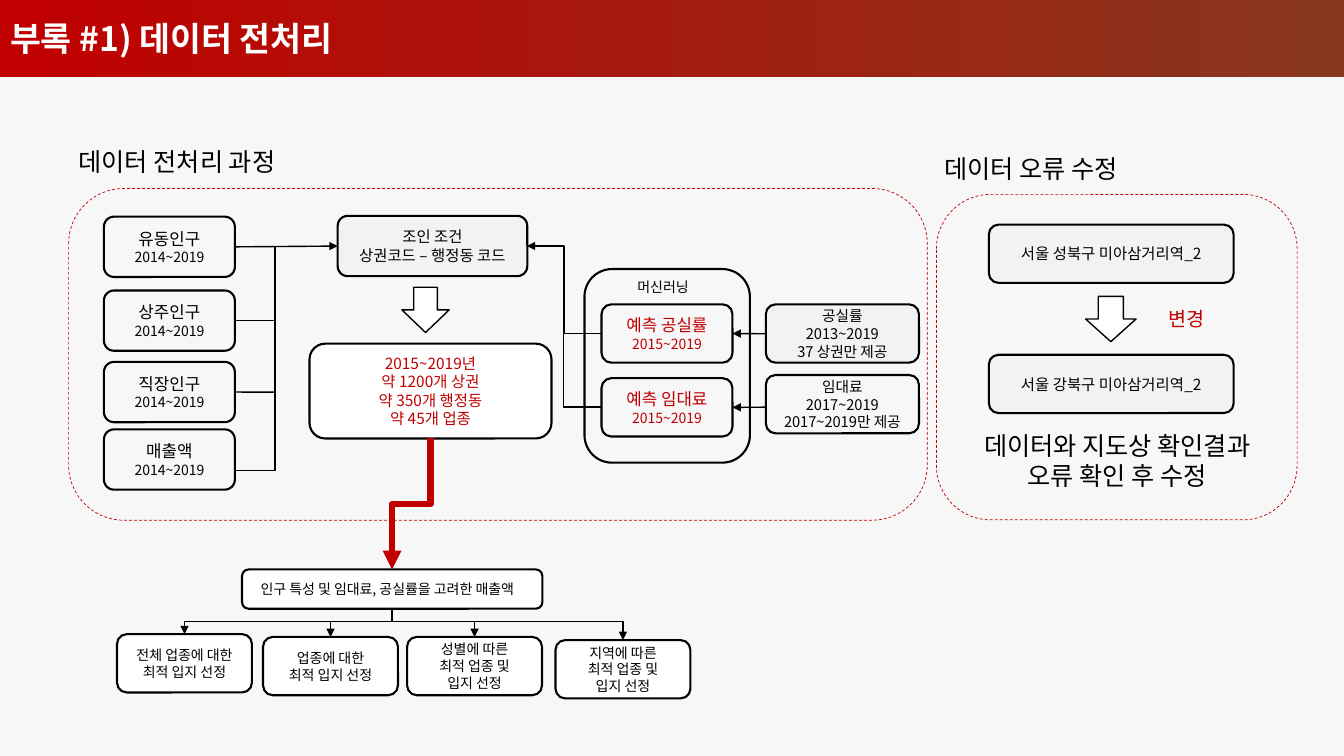
from lxml import etree
from pptx import Presentation
from pptx.dml.color import RGBColor
from pptx.enum.dml import MSO_LINE
from pptx.enum.shapes import MSO_CONNECTOR, MSO_SHAPE
from pptx.enum.text import MSO_ANCHOR, MSO_AUTO_SIZE, PP_ALIGN
from pptx.oxml.ns import qn
from pptx.util import Cm, Pt

ROUND, DOWN = MSO_SHAPE.ROUNDED_RECTANGLE, MSO_SHAPE.DOWN_ARROW
STRAIGHT, ELBOW = MSO_CONNECTOR.STRAIGHT, MSO_CONNECTOR.ELBOW
LEFT, CENTER = PP_ALIGN.LEFT, PP_ALIGN.CENTER
MIDDLE, DASH, NO_FIT = MSO_ANCHOR.MIDDLE, MSO_LINE.DASH, MSO_AUTO_SIZE.NONE
TOP_SIDE, LEFT_SIDE, RIGHT_SIDE = 0, 1, 3


class Theme:
    font = "Noto Sans CJK KR"
    back = RGBColor(0xF7, 0xF7, 0xF7)
    ink = RGBColor(0, 0, 0)
    white = RGBColor(255, 255, 255)
    grey = RGBColor(0xF2, 0xF2, 0xF2)
    red = RGBColor(0xC0, 0, 0)
    brown = RGBColor(0x88, 0x37, 0x1D)
    title, heading, change, item = 24, 18, 14, 12
    body, source, small = 11, 10.5, 10


def write(sp, lines, sizes, color, align=CENTER, bold=False):
    """Fill a shape with lines; the last size serves all remaining lines."""
    tf = sp.text_frame
    tf.text = "\n".join(lines)
    for i, p in enumerate(tf.paragraphs):
        p.alignment = align
        for r in p.runs:
            r.font.name = Theme.font
            r.font.size = Pt(sizes[min(i, len(sizes) - 1)])
            r.font.color.rgb = color
            r.font.bold = bold
            ea = etree.SubElement(r.font._element, qn("a:ea"))
            ea.set("typeface", Theme.font)
    return tf


def link(x1, y1, x2, y2, arrow=True, kind=STRAIGHT, bend=None, down=False,
         start=None, end=None, color=Theme.ink, width=1):
    """Draw a connector; down makes an elbow leave downwards and end to the left."""
    if down:
        cx, cy = (x1 + x2) / 2, (y1 + y2) / 2
        dx, dy = (x1 - x2) / 2, (y2 - y1) / 2
        x1, y1, x2, y2 = cx - dy, cy - dx, cx + dy, cy + dx
    c = shapes.add_connector(kind, Cm(x1), Cm(y1), Cm(x2), Cm(y2))
    spPr = c._element.spPr
    if down:
        spPr.find(qn("a:xfrm")).set("rot", "5400000")
    if bend is not None:
        guide = etree.SubElement(spPr.find(".//" + qn("a:avLst")), qn("a:gd"))
        guide.set("name", "adj1")
        guide.set("fmla", f"val {round(bend * 100000)}")
    if start:
        c.begin_connect(start, RIGHT_SIDE)
    if end:
        c.end_connect(*end)
    c.line.color.rgb = color
    c.line.width = Pt(width)
    if arrow:
        etree.SubElement(c.line._ln, qn("a:tailEnd")).set("type", "triangle")
    etree.SubElement(spPr, qn("a:effectLst"))


prs = Presentation()
prs.slide_width, prs.slide_height = Cm(33.87), Cm(19.05)
slide = prs.slides.add_slide(prs.slide_layouts[5])
slide.background.fill.solid()
slide.background.fill.fore_color.rgb = Theme.back
shapes = slide.shapes

# Title band
title = shapes.title
title.left, title.top, title.width, title.height = 0, 0, prs.slide_width, Cm(1.93)
title.fill.gradient()
title.fill.gradient_angle = 0
for stop, color in zip(title.fill.gradient_stops, (Theme.red, Theme.brown)):
    stop.color.rgb = color
for i, stop in enumerate(title.fill.gradient_stops):
    stop.position = i
tf = write(title, ["부록 #1) 데이터 전처리"], [Theme.title], Theme.white, LEFT, True)
tf.vertical_anchor = MIDDLE
tf.auto_size = NO_FIT

# Dashed panels and the machine learning frame
for x, y, w, h, color, width, dash in [
    (1.73, 4.75, 21.64, 8.36, Theme.red, 0.5, DASH),
    (23.6, 4.9, 9.09, 8.2, Theme.red, 0.5, DASH),
    (14.73, 6.78, 4.17, 4.88, Theme.ink, 1.5, None),
]:
    sp = shapes.add_shape(ROUND, Cm(x), Cm(y), Cm(w), Cm(h))
    sp.shadow.inherit = False
    sp.fill.background()
    sp.line.color.rgb = color
    sp.line.width = Pt(width)
    sp.line.dash_style = dash

# Boxes: left, top, width, height, fill, text colour, sizes, lines
ITEM = [Theme.item, Theme.small]
BODY, SOURCE, SMALL = [Theme.body], [Theme.source], [Theme.small]
rows = [(2.62, y, 3.3, 1.52, None, Theme.ink, ITEM, [name, "2014~2019"])
        for name, y in [("유동인구", 5.46), ("상주인구", 7.32),
                        ("직장인구", 9.12), ("매출액", 10.82)]]
rows += [(15.16, y, 3.3, 1.47, None, Theme.red, ITEM, [name, "2015~2019"])
         for name, y in [("예측 공실률", 7.67), ("예측 임대료", 9.53)]]
rows += [(24.92, y, 6.17, 1.47, Theme.grey, Theme.ink, BODY,
          [f"서울 {district} 미아삼거리역_2"])
         for district, y in [("성북구", 5.66), ("강북구", 8.94)]]
rows += [
    (8.51, 5.44, 4.78, 1.52, Theme.grey, Theme.ink, BODY,
     ["조인 조건", "상권코드 – 행정동 코드"]),
    (19.3, 7.67, 3.86, 1.47, Theme.grey, Theme.ink, SOURCE,
     ["공실률", "2013~2019", "37 상권만 제공"]),
    (19.3, 9.45, 3.86, 1.47, None, Theme.ink, SOURCE,
     ["임대료", "2017~2019", "2017~2019만 제공"]),
    (7.8, 8.66, 6.1, 2.39, Theme.white, Theme.red, BODY,
     ["2015~2019년", "약 1200개 상권", "약 350개 행정동", "약 45개 업종"]),
    (6.1, 14.35, 7.57, 0.99, Theme.white, Theme.ink, SMALL,
     ["인구 특성 및 임대료, 공실률을 고려한 매출액"]),
]
rows += [(x, y, 3.4, 1.47, Theme.white, Theme.ink, SMALL, lines)
         for x, y, lines in [
             (2.95, 15.98, ["전체 업종에 대한", "최적 입지 선정"]),
             (6.63, 16.05, ["업종에 대한", "최적 입지 선정"]),
             (10.26, 16.05, ["성별에 따른", "최적 업종 및", "입지 선정"]),
             (14, 16.13, ["지역에 따른", "최적 업종 및", "입지 선정"])]]
boxes = {}
for x, y, w, h, fill, color, sizes, lines in rows:
    sp = shapes.add_shape(ROUND, Cm(x), Cm(y), Cm(w), Cm(h))
    sp.shadow.inherit = False
    if fill is None:
        sp.fill.background()
    else:
        sp.fill.solid()
        sp.fill.fore_color.rgb = fill
    sp.line.color.rgb = Theme.ink
    sp.line.width = Pt(1.5)
    tf = write(sp, lines, sizes, color)
    tf.word_wrap = True
    tf.vertical_anchor = MIDDLE
    if sizes is SMALL:
        tf.margin_left = 0
        tf.margin_right = Cm(0.25) if len(lines) == 1 else 0
    boxes[lines[0]] = sp

# Block arrows
for x, y, w in [(10.13, 7.24, 1.19), (27.36, 7.47, 1.27)]:
    sp = shapes.add_shape(DOWN, Cm(x), Cm(y), Cm(w), Cm(1.14))
    sp.shadow.inherit = False
    sp.fill.solid()
    sp.fill.fore_color.rgb = Theme.white
    sp.line.color.rgb = Theme.ink
    sp.line.width = Pt(1)

# Headings and labels
for text, x, y, w, h, size, color, align, wrap in [
    ("데이터 전처리 과정", 1.73, 3.56, 6.93, 1.02, Theme.heading, Theme.ink, LEFT, True),
    ("데이터 오류 수정", 23.55, 3.73, 6.17, 1.02, Theme.heading, Theme.ink, LEFT, True),
    ("데이터와 지도상 확인결과 오류 확인 후 수정", 24, 10.72, 8.31, 1.8,
     Theme.heading, Theme.ink, CENTER, True),
    ("변경", 29.16, 7.62, 1.5, 0.86, Theme.change, Theme.red, CENTER, False),
    ("머신러닝", 14.73, 6.9, 3.96, 0.78, Theme.small, Theme.ink, CENTER, True),
]:
    sp = shapes.add_textbox(Cm(x), Cm(y), Cm(w), Cm(h))
    write(sp, [text], [size], color, align).word_wrap = wrap

# Population and sales data joined by codes
link(5.92, 6.22, 8.51, 6.2, start=boxes["유동인구"], end=(boxes["조인 조건"], LEFT_SIDE))
link(5.92, 8.08, 6.93, 8.08, arrow=False, start=boxes["상주인구"])
link(5.92, 9.88, 6.93, 9.88, arrow=False, start=boxes["직장인구"])
link(5.92, 11.86, 6.93, 6.22, arrow=False, kind=ELBOW, bend=1)

# Predictions
for source, y in [("공실률", 8.41), ("임대료", 10.26)]:
    target = boxes[f"예측 {source}"]
    link(19.3, y, 18.46, y, end=(target, RIGHT_SIDE))
link(15.16, 8.41, 13.28, 6.2, kind=ELBOW, bend=0.5)
link(15.16, 10.26, 14.2, 8.41, arrow=False, kind=ELBOW, bend=1)

# Results
link(10.85, 11.05, 9.88, 14.35, kind=ELBOW, bend=0.5, down=True,
     color=Theme.red, width=4.5)
link(9.88, 15.34, 4.65, 15.98, kind=ELBOW, bend=0.5, down=True)
link(9.88, 15.66, 15.7, 16.13, kind=ELBOW, bend=1)
for name, x in [("업종에 대한", 8.33), ("성별에 따른", 11.96)]:
    link(x, 15.66, x, 16.05, end=(boxes[name], TOP_SIDE))

prs.save("out.pptx")
